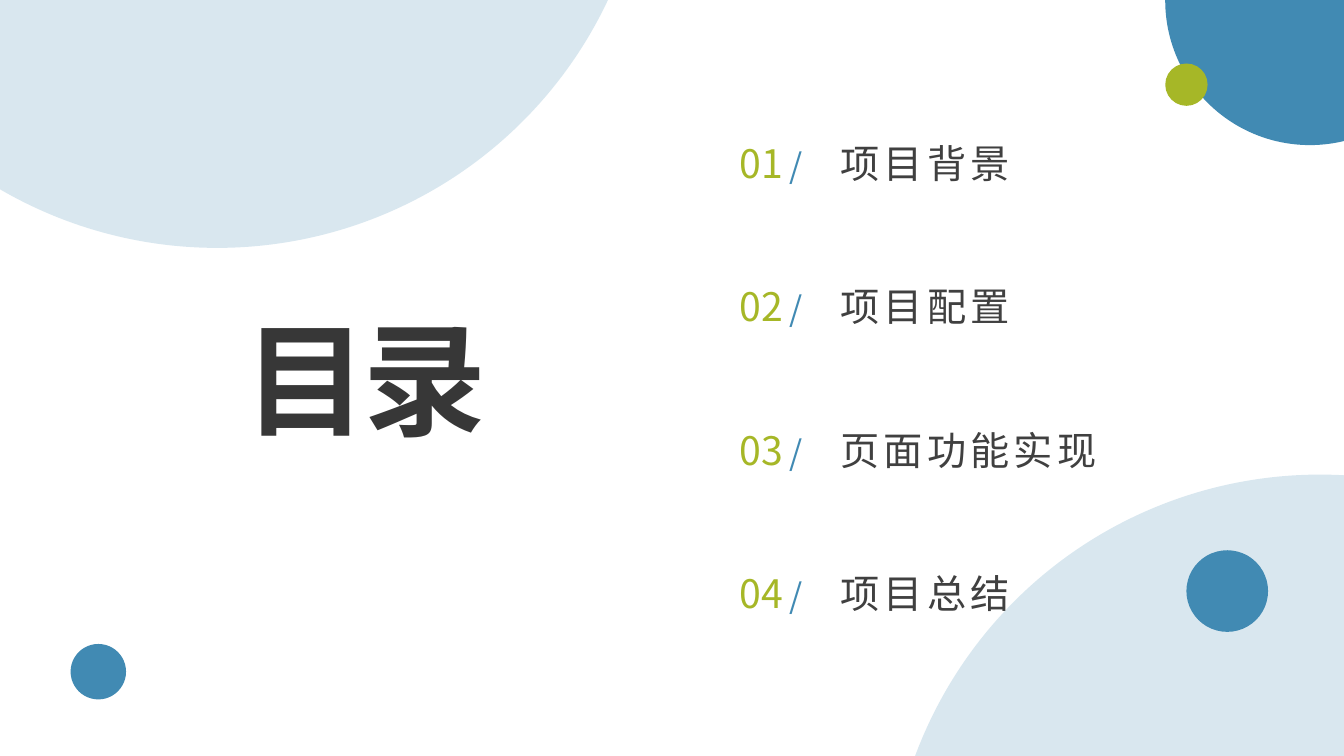
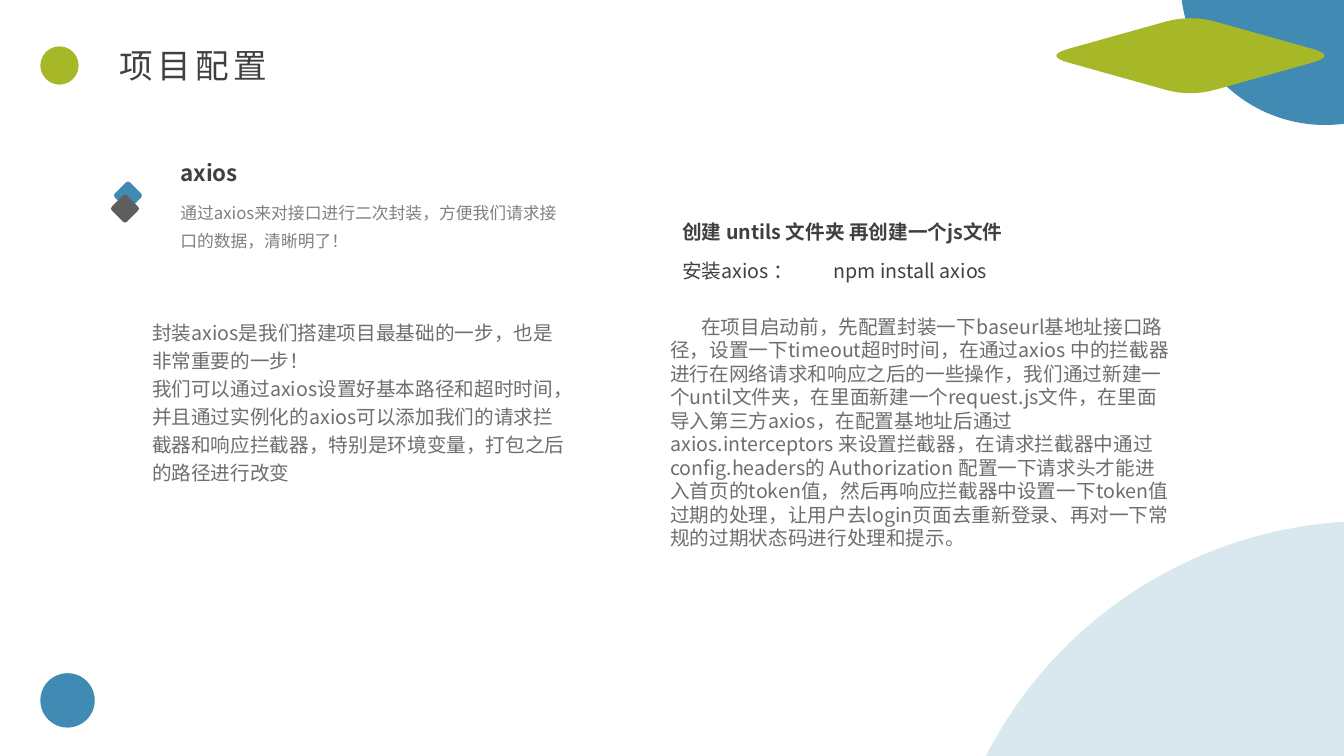
import pptx
import pptx.util
import pptx.dml.color
import pptx.enum.shapes
import pptx.enum.text
import pptx.oxml
import pptx.oxml.ns

FONT = "Noto Sans CJK SC"
BLUE, LIME, INK, DARK, GREY, SOFT = "418AB3", "A6B727", "404040", "373737", "6E6E6E", "808080"

deck = pptx.Presentation()
deck.slide_width = pptx.util.Inches(13.33)
deck.slide_height = pptx.util.Inches(7.5)
CELL = deck.slide_width / 40  # the grid has 40 columns and 22.5 rows


def tint(fill, color, alpha=100):
    """Make a shape's or a font's fill solid, with alpha in percent."""
    fill.solid()
    fill.fore_color.rgb = pptx.dml.color.RGBColor.from_string(color)
    if alpha < 100:
        tone = fill._xPr.find(".//" + pptx.oxml.ns.qn("a:srgbClr"))
        tone.append(pptx.oxml.parse_xml(
            f'<a:alpha {pptx.oxml.ns.nsdecls("a")} val="{alpha * 1000}"/>'))


def write(par, text, size=14, color=INK, bold=False, gap=0, lead=None, indent=0, tabs=()):
    """Add a run; gap is letter spacing and lead is line height, in points."""
    space = pptx.oxml.ns.nsdecls("a")
    props = par._p.get_or_add_pPr()
    if not par.runs:
        par.space_before = par.space_after = pptx.util.Pt(0)
        par.line_spacing = pptx.util.Pt(lead) if lead else 1.0
        par.alignment = pptx.enum.text.PP_ALIGN.LEFT
        props.set("marL", "0")
        props.set("indent", str(int(indent * CELL)))
        props.append(pptx.oxml.parse_xml(f"<a:buNone {space}/>"))
        if tabs:
            stops = "".join(f'<a:tab pos="{int(stop * CELL)}" algn="l"/>' for stop in tabs)
            props.append(pptx.oxml.parse_xml(f"<a:tabLst {space}>{stops}</a:tabLst>"))
    run = par.add_run()
    run.text = text
    run.font.size = pptx.util.Pt(size)
    run.font.bold = bold
    tint(run.font.fill, color)
    look = run._r.get_or_add_rPr()
    look.set("spc", str(gap * 100))
    for kind in ("latin", "ea"):
        look.append(pptx.oxml.parse_xml(f'<a:{kind} {space} typeface="{FONT}"/>'))


# Circles: left, top, diameter in cells, colour, alpha
discs = [
    [(26.43, 14.13, 25.71, BLUE, 20), (34.68, -4.29, 8.61, BLUE, 100),
     (2.1, 19.17, 1.65, BLUE, 100), (-6.39, -18.33, 25.71, BLUE, 20),
     (34.68, 1.89, 1.26, LIME, 100), (35.31, 16.38, 2.43, BLUE, 100)],
    [(27.93, 15.51, 25.71, BLUE, 20), (35.13, -4.89, 8.61, BLUE, 100),
     (1.2, 20.04, 1.62, BLUE, 100), (1.2, 1.38, 1.14, LIME, 100)],
]
# Titles: text, place in cells, format
heads = [
    ("目录", (6.99, 8.88, 8.43, 4.74), dict(size=88, color=DARK, bold=True, gap=-3)),
    ("项目配置", (3.27, 1.2, 7.59, 1.5), dict(size=24, gap=3)),
]
lists = [(21.71, 1.13, 12, 17.4), (19.65, 9.21, 15.48, 7.38)]

slides, frames = [], []
for row, (text, spot, form), area in zip(discs, heads, lists):
    slide = deck.slides.add_slide(deck.slide_layouts[1])
    slides.append(slide)
    for left, top, size, color, alpha in row:
        disc = slide.shapes.add_shape(
            pptx.enum.shapes.MSO_SHAPE.FLOWCHART_CONNECTOR,
            *(int(n * CELL) for n in (left, top, size, size)))
        disc.shadow.inherit = False
        disc.line.fill.background()
        tint(disc.fill, color, alpha)
    title, body = slide.placeholders
    for holder in (title, body):
        slide.shapes._spTree.append(holder._element)  # in front of the circles
    write(title.text_frame.paragraphs[0], text, **form)
    frames += [(title, spot), (body, area)]

# Agenda
agenda = frames[1][0].text_frame
for num, name in enumerate(["项目背景", "项目配置", "页面功能实现", "项目总结"], 1):
    par = agenda.paragraphs[0] if num == 1 else agenda.add_paragraph()
    write(par, f"{num:02}", size=28, color=LIME, lead=102.4, tabs=(1.78, 2.9))
    write(par, "\t/", size=24, color=BLUE, gap=3)
    write(par, "\t" + name, size=28, gap=3)

# Diamonds with rounded corners: centre, half width, half height in cells
slide, body = slides[1], frames[3][0]
for x, y, wide, high, color in [(3.81, 5.82, 0.45, 0.45, BLUE), (3.72, 6.21, 0.45, 0.45, "5E5E5E"),
                                (35.43, 1.66, 4.36, 1.22, LIME)]:
    tips = [(x, y - high), (x + wide, y), (x, y + high), (x - wide, y)]
    dots = []
    for i, tip in enumerate(tips):
        start, end = ([t + (o - t) * 0.17 for t, o in zip(tip, other)]
                      for other in (tips[i - 1], tips[(i + 1) % 4]))
        for step in range(9):
            t = step / 8
            dots.append(tuple(int(CELL * ((1 - t) ** 2 * a + 2 * t * (1 - t) * b + t * t * c))
                              for a, b, c in zip(start, tip, end)))
    pen = slide.shapes.build_freeform(*dots[0])
    pen.add_line_segments(dots[1:], close=True)
    gem = pen.convert_to_shape()
    gem.shadow.inherit = False
    gem.line.fill.background()
    tint(gem.fill, color)

# Text blocks: place in cells, paragraphs, format
blocks = [
    ((5.07, 4.59, 5.43, 2.73), ["axios"], dict(size=16, bold=True)),
    ((5.07, 5.64, 11.91, 1.89), ["通过axios来对接口进行二次封装，方便我们请求接口的数据，清晰明了！"],
     dict(size=12, color=SOFT, lead=20)),
    ((20.01, 6.4, 13.29, 1.83), ["创建 untils 文件夹 再创建一个js文件"], dict(bold=True)),
    ((20.01, 7.56, 13.29, 1.02), ["安装axios ：\tnpm install axios"], dict(tabs=[4.22])),
    ((4.23, 9.27, 12.9, 6.27),
     ["封装axios是我们搭建项目最基础的一步，也是非常重要的一步！",
      "我们可以通过axios设置好基本路径和超时时间，并且通过实例化的axios可以添加我们的请求拦截器和响应拦截器，"
      "特别是环境变量，打包之后的路径进行改变"],
     dict(color=GREY, lead=20)),
]
for spot, lines, form in blocks:
    box = slide.shapes.add_textbox(0, 0, 0, 0)
    for i, line in enumerate(lines):
        par = box.text_frame.add_paragraph() if i else box.text_frame.paragraphs[0]
        write(par, line, **form)
    frames.append((box, spot))

write(body.text_frame.paragraphs[0],
      "在项目启动前，先配置封装一下baseurl基地址接口路径，设置一下timeout超时时间，在通过axios 中的拦截器进行在网络请求和"
      "响应之后的一些操作，我们通过新建一个until文件夹，在里面新建一个request.js文件，在里面导入第三方axios，在配置基地址后通过 "
      "axios.interceptors 来设置拦截器，在请求拦截器中通过config.headers的 Authorization 配置一下请求头才能进入首页的token值，"
      "然后再响应拦截器中设置一下token值过期的处理，让用户去login页面去重新登录、再对一下常规的过期状态码进行处理和提示。",
      color=GREY, indent=0.92)

for box, spot in frames:
    box.left, box.top, box.width, box.height = (int(n * CELL) for n in spot)
    box.text_frame.word_wrap = True
    box.text_frame.auto_size = pptx.enum.text.MSO_AUTO_SIZE.NONE
    box.text_frame.vertical_anchor = pptx.enum.text.MSO_ANCHOR.TOP

deck.save("out.pptx")
